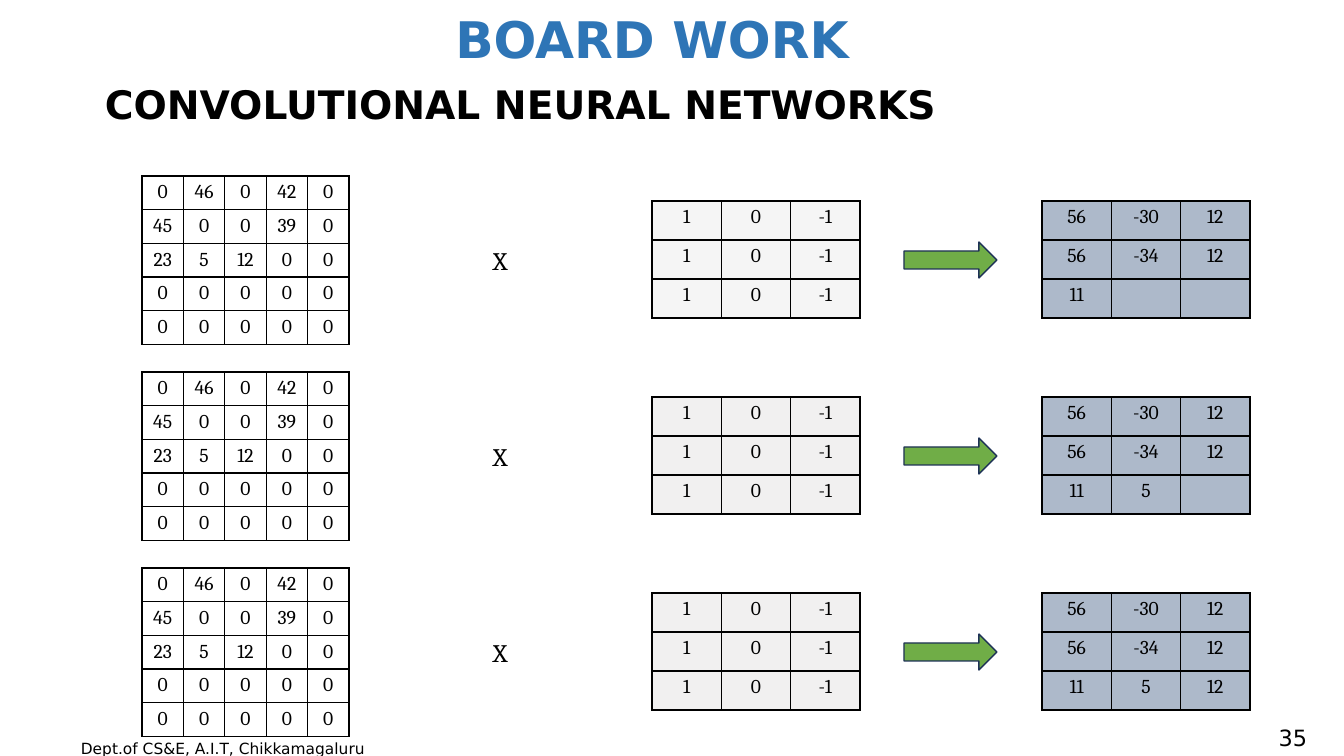
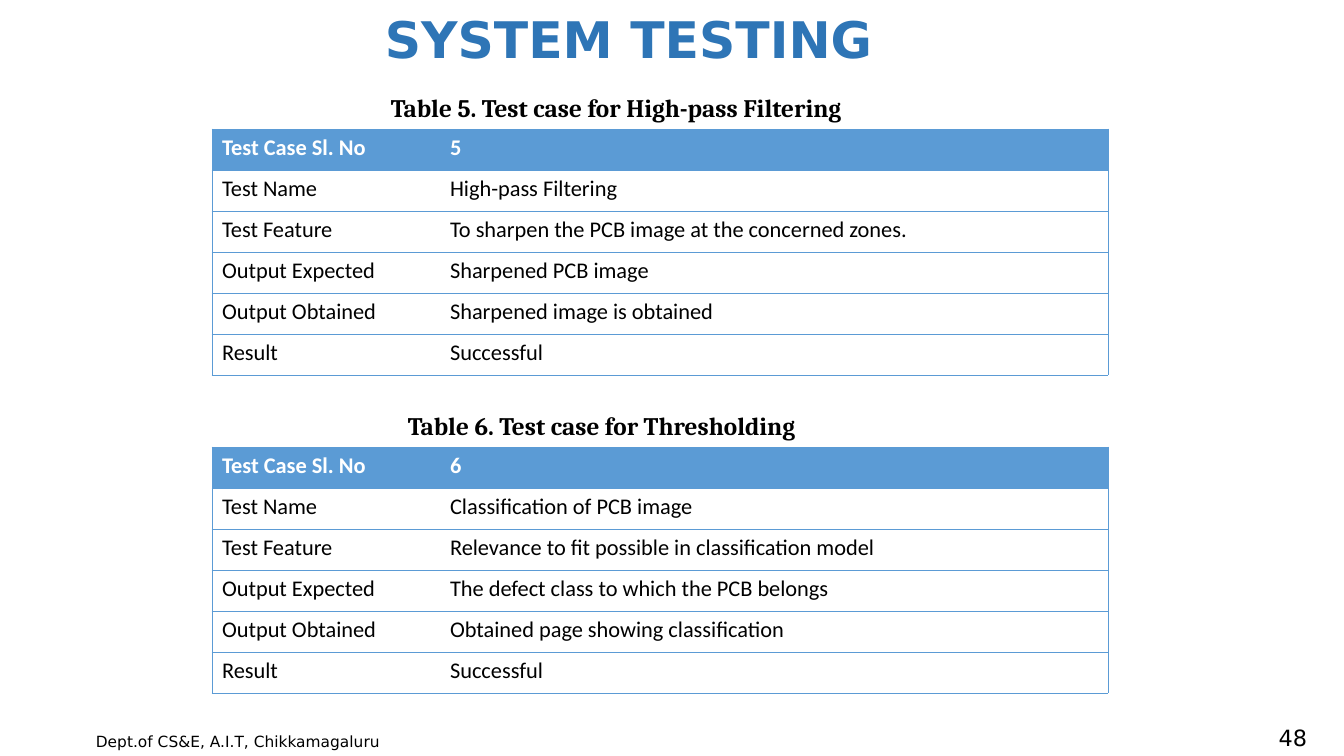
from lxml import etree
from pptx import Presentation, util as u
from pptx.dml.color import RGBColor
from pptx.enum import shapes, text
from pptx.oxml.ns import qn

BLACK = RGBColor(0x00, 0x00, 0x00)
WHITE = RGBColor(0xFF, 0xFF, 0xFF)
TITLE_BLUE = RGBColor(0x2E, 0x75, 0xB6)
TABLE_BLUE = RGBColor(0x5B, 0x9B, 0xD5)
ARROW_GREEN = RGBColor(0x70, 0xAD, 0x47)
ARROW_EDGE = RGBColor(0x1E, 0x32, 0x56)
LIGHT_GREY = RGBColor(0xF5, 0xF5, 0xF5)
WARM_GREY = RGBColor(0xF1, 0xF0, 0xF0)
RESULT_BLUE = RGBColor(0xAD, 0xB9, 0xCA)

SANS, SERIF, BODY = "DejaVu Sans", "Cambria", "Calibri"
LEFT, CENTER, RIGHT = text.PP_ALIGN.LEFT, text.PP_ALIGN.CENTER, text.PP_ALIGN.RIGHT
SLIDE_WIDTH, SLIDE_HEIGHT = 1344, 756
NO_STYLE = "{2D5ABB26-0587-4C30-8999-92F81FD0307C}"

IMAGE_ROWS = [
    [0, 46, 0, 42, 0],
    [45, 0, 0, 39, 0],
    [23, 5, 12, 0, 0],
    [0, 0, 0, 0, 0],
    [0, 0, 0, 0, 0],
]
KERNEL_ROWS = [[1, 0, -1]] * 3
RESULT_ROWS = [[56, -30, 12], [56, -34, 12]]
# Each convolution step: kernel fill and last row of the result
STEPS = [
    (LIGHT_GREY, [11, "", ""]),
    (WARM_GREY, [11, 5, ""]),
    (WARM_GREY, [11, 5, 12]),
]
STEP_TOP, STEP_PITCH = 176, 196

TEST_LABELS = ["Test Case Sl. No", "Test Name", "Test Feature",
               "Output Expected", "Output Obtained", "Result"]
TEST_CASES = [
    (129, 381, "Table 5. Test case for High-pass Filtering",
     ["5", "High-pass Filtering", "To sharpen the PCB image at the concerned zones.",
      "Sharpened PCB image", "Sharpened image is obtained", "Successful"]),
    (447, 398, "Table 6. Test case for Thresholding",
     ["6", "Classification of PCB image", "Relevance to fit possible in classification model",
      "The defect class to which the PCB belongs", "Obtained page showing classification",
      "Successful"]),
]


def px(length):
    return round(length * u.Inches(1) * 10 / 1008)


class Deck:
    def __init__(self):
        self.file = Presentation()
        self.file.slide_width = px(SLIDE_WIDTH)
        self.file.slide_height = px(SLIDE_HEIGHT)
        self.slide = None

    def new_slide(self, title, title_left, title_width, number, footer_left, footer_top):
        self.slide = self.file.slides.add_slide(self.file.slide_layouts[6])
        self.text(title, title_left, 2, title_width, 72, 36, color=TITLE_BLUE, bold=True,
                  align=CENTER, anchor=text.MSO_ANCHOR.MIDDLE)
        self.text("Dept.of CS&E, A.I.T, Chikkamagaluru", footer_left, footer_top, 317, 29, 11)
        self.text(str(number), 1257, 722, 60, 32, 16, align=RIGHT,
                  anchor=text.MSO_ANCHOR.MIDDLE)

    def set_words(self, para, words, size, font, color, bold, align):
        para.text = words
        para.alignment = align
        for span in para.runs:
            span.font.size = u.Pt(size)
            span.font.name = font
            span.font.bold = bold
            span.font.color.rgb = color
        if not words:
            etree.SubElement(para._p, qn("a:endParaRPr"), sz=str(size * 100))

    def text(self, words, left, top, width, height, size, font=SANS, color=BLACK,
             bold=False, align=LEFT, anchor=text.MSO_ANCHOR.TOP):
        box = self.slide.shapes.add_textbox(px(left), px(top), px(width), px(height))
        frame = box.text_frame
        frame.word_wrap = True
        frame.vertical_anchor = anchor
        self.set_words(frame.paragraphs[0], words, size, font, color, bold, align)

    def arrow(self, left, top, width, height):
        shape = self.slide.shapes.add_shape(shapes.MSO_SHAPE.RIGHT_ARROW,
                                            px(left), px(top), px(width), px(height))
        shape.shadow.inherit = False
        shape.fill.solid()
        shape.fill.fore_color.rgb = ARROW_GREEN
        shape.line.color.rgb = ARROW_EDGE
        shape.line.width = u.Pt(1)

    def plain_table(self, left, top, width, height, rows):
        """Add an equally divided table without a built-in style."""
        frame = self.slide.shapes.add_table(len(rows), len(rows[0]), px(left), px(top),
                                            px(width), px(height))
        table = frame.table
        table.first_row = table.horz_banding = False
        table._tbl.tblPr.find(qn("a:tableStyleId")).text = NO_STYLE
        return table

    def cell(self, cell, words, fill, sides, edge, edge_width, *style):
        """Fill one cell; sides names its drawn borders, as in "LRTB"."""
        properties = cell._tc.get_or_add_tcPr()
        for side in sides:
            line = etree.SubElement(properties, qn(f"a:ln{side}"), w=str(u.Pt(edge_width)))
            paint = etree.SubElement(line, qn("a:solidFill"))
            etree.SubElement(paint, qn("a:srgbClr"), val=str(edge))
        cell.fill.solid()
        cell.fill.fore_color.rgb = fill
        self.set_words(cell.text_frame.paragraphs[0], words, *style)

    def matrix(self, left, top, width, height, rows, fill):
        table = self.plain_table(left, top, width, height, rows)
        for r, row in enumerate(rows):
            for c, value in enumerate(row):
                cell = table.cell(r, c)
                cell.margin_left = cell.margin_right = px(4)
                self.cell(cell, str(value), fill, "LRTB", BLACK, 1,
                          14, SERIF, BLACK, False, CENTER)

    def test_case(self, top, caption_left, caption, values):
        rows = list(zip(TEST_LABELS, values))
        table = self.plain_table(212, top, 896, 246, rows)
        for column, width in zip(table.columns, (228, 668)):
            column.width = px(width)
        for r, row in enumerate(rows):
            header = r == 0
            fill, color = (TABLE_BLUE, WHITE) if header else (WHITE, BLACK)
            for c, words in enumerate(row):
                self.cell(table.cell(r, c), words, fill, ("LTB", "RTB")[c], TABLE_BLUE, 0.5,
                          16, BODY, color, header, LEFT)
        self.text(caption, caption_left, top - 42, 489, 40, 18, SERIF, bold=True)


def board_work(deck):
    deck.new_slide("BOARD WORK", 106, 1092, 35, 71, 734)
    deck.text("CONVOLUTIONAL NEURAL NETWORKS", 95, 75, 896, 57, 28, bold=True)
    for step, (kernel_fill, last_row) in enumerate(STEPS):
        top = STEP_TOP + step * STEP_PITCH
        deck.matrix(142, top, 207, 168, IMAGE_ROWS, WHITE)
        deck.text("X", 474, top + 64, 52, 40, 18, SERIF, align=CENTER)
        deck.matrix(652, top + 25, 208, 117, KERNEL_ROWS, kernel_fill)
        deck.arrow(904, top + 66, 93, 36)
        deck.matrix(1042, top + 25, 208, 117, RESULT_ROWS + [last_row], RESULT_BLUE)


def system_testing(deck):
    deck.new_slide("SYSTEM TESTING", 292, 673, 48, 86, 727)
    for case in TEST_CASES:
        deck.test_case(*case)


def main():
    deck = Deck()
    board_work(deck)
    system_testing(deck)
    deck.file.save("out.pptx")


if __name__ == "__main__":
    main()
